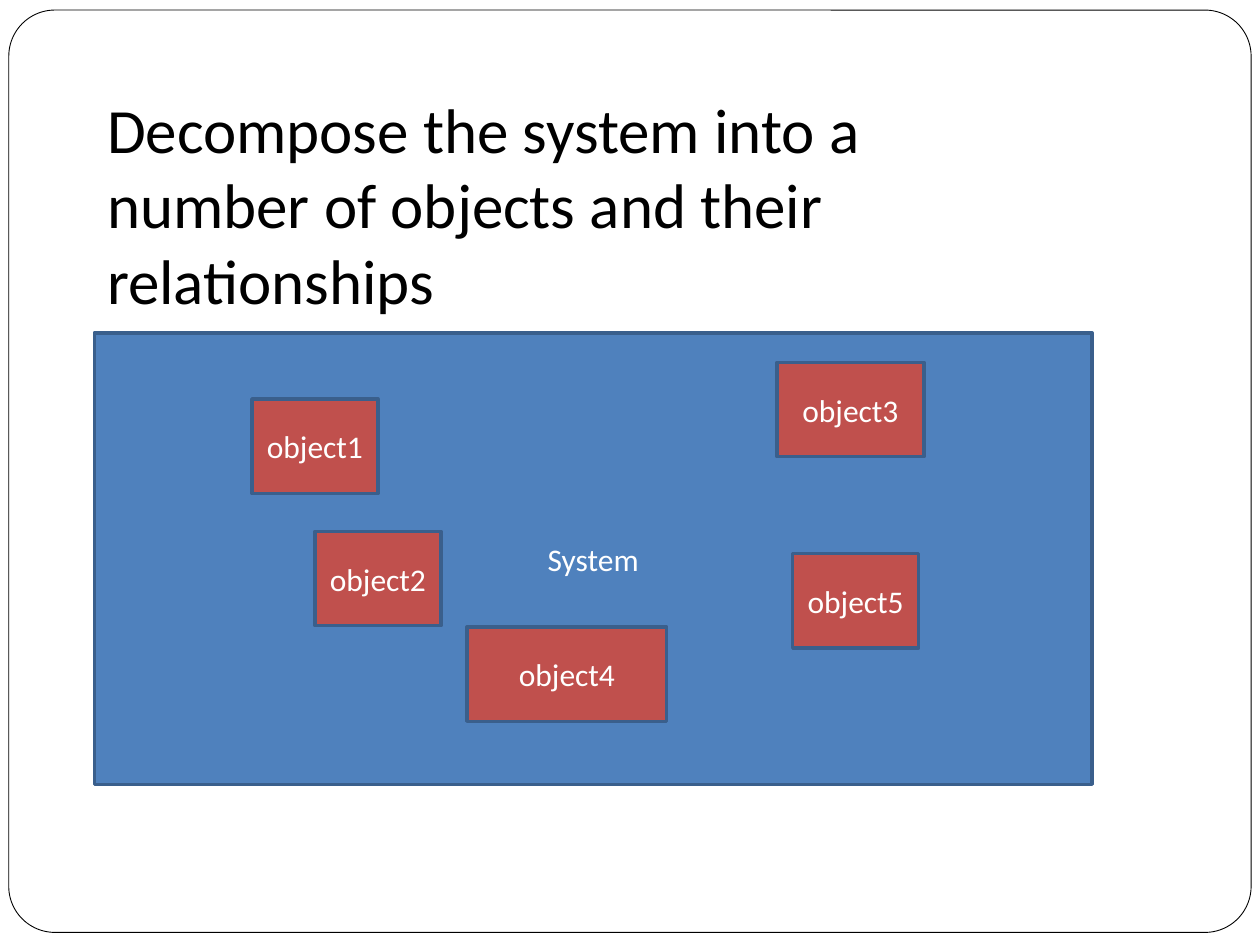
from dataclasses import dataclass

from pptx import Presentation
from pptx.dml.color import RGBColor
from pptx.enum.shapes import MSO_SHAPE
from pptx.enum.text import MSO_ANCHOR, PP_ALIGN
from pptx.util import Inches, Pt


@dataclass(frozen=True)
class Theme:
    """Colours, type sizes and line widths of the deck."""
    font: str = "Calibri"
    paper: str = "FFFFFF"
    ink: str = "000000"
    system_fill: str = "4F81BD"
    object_fill: str = "C0504D"
    edge: str = "3A5F8C"
    title_size: float = 36
    label_size: float = 18
    frame_width: float = 0.5
    edge_width: float = 2


@dataclass(frozen=True)
class Box:
    """A rectangle in columns and rows of the slide grid."""
    left: float
    top: float
    width: float
    height: float

    def inner(self, left, top, width, height):
        """Return a box placed relative to this one."""
        return Box(self.left + left, self.top + top, width, height)

    def lengths(self):
        """Return the position and size as slide lengths."""
        return [Inches(cells / CELLS_PER_INCH)
                for cells in (self.left, self.top, self.width, self.height)]


THEME = Theme()
CELLS_PER_INCH = 12
PAGE = Box(0, 0, 120, 90)
OBJECT_HEIGHT = 9
OBJECTS = {
    "object1": (15, 6.3, 12),
    "object2": (21, 18.9, 12),
    "object3": (65, 2.8, 14),
    "object4": (35.5, 28, 19),
    "object5": (66.5, 21, 12),
}


def apply(target, values):
    """Set each named value on the target."""
    for name, value in values.items():
        setattr(target, name, value)


def write(owner, wording, size, colour, align, anchor):
    """Write one formatted paragraph into a shape."""
    frame = owner.text_frame
    frame.text = wording
    apply(frame, {"word_wrap": True, "vertical_anchor": anchor})
    paragraph = frame.paragraphs[0]
    paragraph.alignment = align
    font = paragraph.runs[0].font
    apply(font, {"name": THEME.font, "size": Pt(size)})
    font.color.rgb = RGBColor.from_string(colour)


def add_panel(slide, box, preset, fill, edge, width):
    """Add an outlined shape without a shadow."""
    panel = slide.shapes.add_shape(preset, *box.lengths())
    panel.shadow.inherit = False
    panel.fill.solid()
    panel.fill.fore_color.rgb = RGBColor.from_string(fill)
    panel.line.color.rgb = RGBColor.from_string(edge)
    panel.line.width = Pt(width)
    return panel


def add_block(slide, box, wording, fill):
    """Add a labelled rectangle of the diagram."""
    block = add_panel(slide, box, MSO_SHAPE.RECTANGLE, fill,
                      THEME.edge, THEME.edge_width)
    write(block, wording, THEME.label_size, THEME.paper,
          PP_ALIGN.CENTER, MSO_ANCHOR.MIDDLE)


def add_frame(slide, box):
    """Add the rounded page frame."""
    frame = add_panel(slide, box, MSO_SHAPE.ROUNDED_RECTANGLE, THEME.paper,
                      THEME.ink, THEME.frame_width)
    frame.adjustments[0] = 0.05


def add_system(slide, box):
    """Add the system and the objects inside it."""
    add_block(slide, box, "System", THEME.system_fill)
    for wording, (left, top, width) in OBJECTS.items():
        add_block(slide, box.inner(left, top, width, OBJECT_HEIGHT),
                  wording, THEME.object_fill)


def place_title(slide, box, wording):
    """Fill the title placeholder and bring it to the front."""
    title = slide.shapes.title
    apply(title, dict(zip(("left", "top", "width", "height"), box.lengths())))
    write(title, wording, THEME.title_size, THEME.ink,
          PP_ALIGN.LEFT, MSO_ANCHOR.TOP)
    slide.shapes.element.append(title.element)


def build_decomposition(deck, page):
    """Build the slide that splits a system into objects."""
    slide = deck.slides.add_slide(deck.slide_layouts.get_by_name("Title Only"))
    add_frame(slide, page.inner(0.84, 0.96, 118.32, 87.84))
    add_system(slide, page.inner(9, 31.7, 95, 43))
    place_title(slide, page.inner(9, 8, 86, 23),
                "Decompose the system into a number of objects "
                "and their relationships")


deck = Presentation()
apply(deck, dict(zip(("slide_width", "slide_height"), PAGE.lengths()[2:])))
build_decomposition(deck, PAGE)
deck.save("out.pptx")
